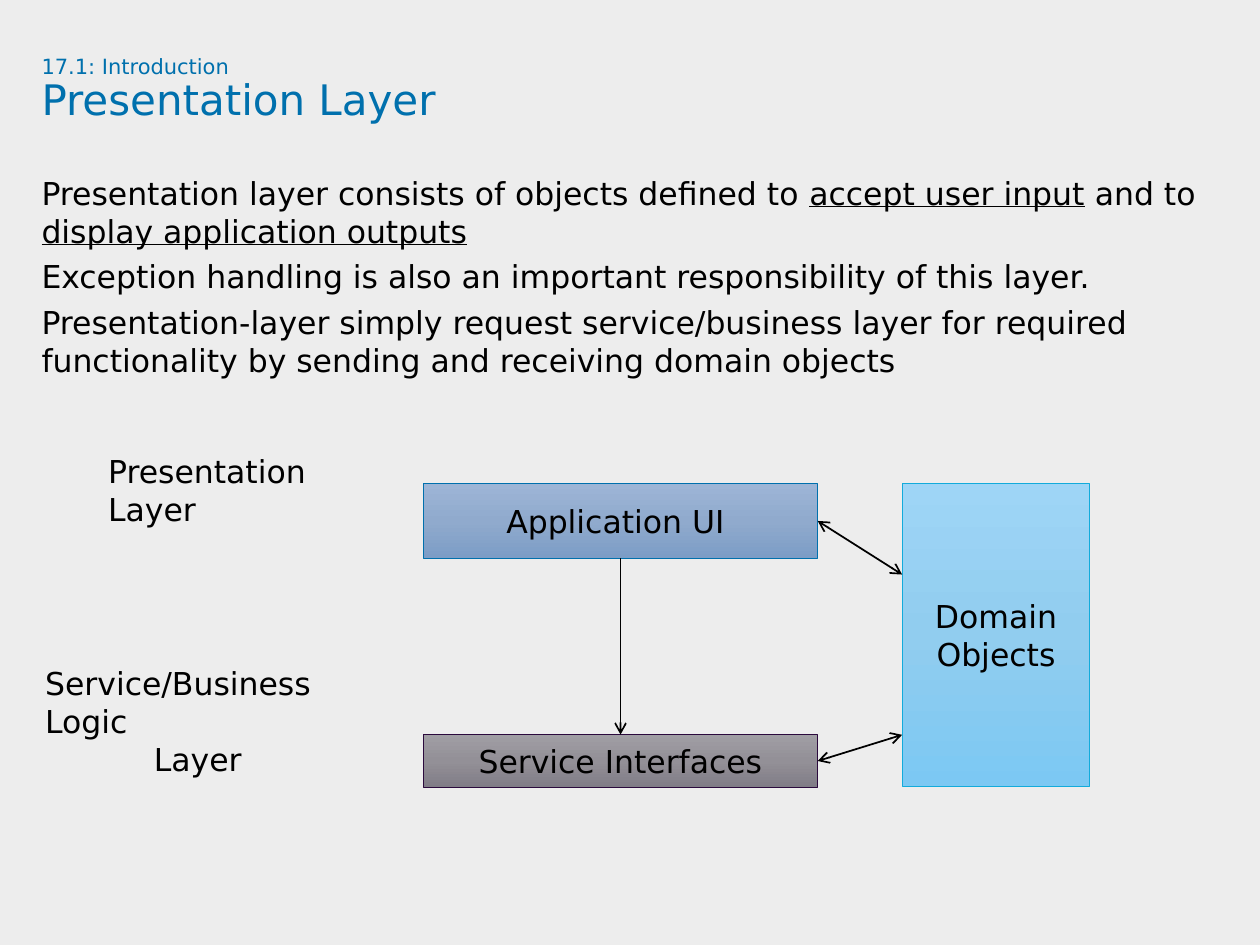
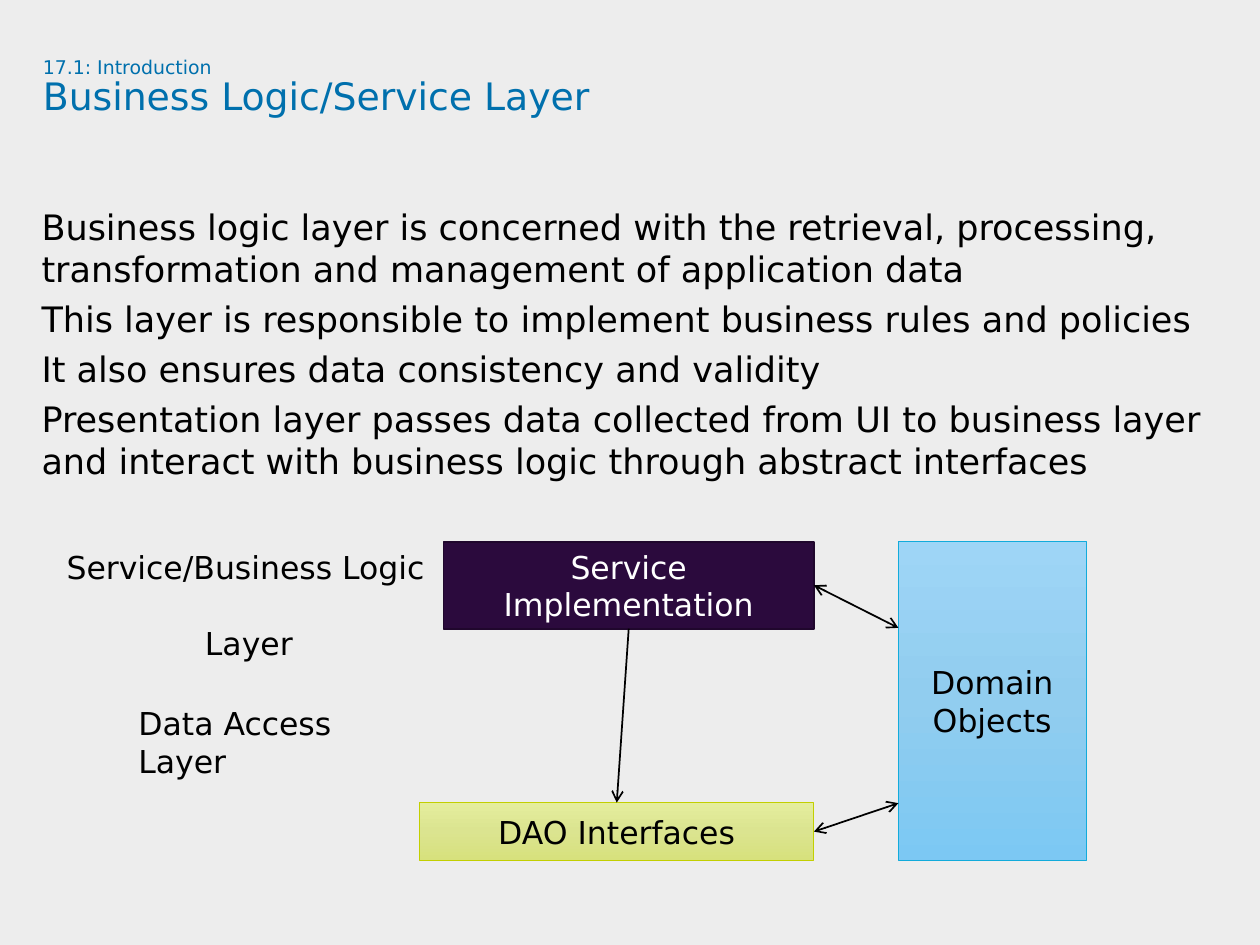
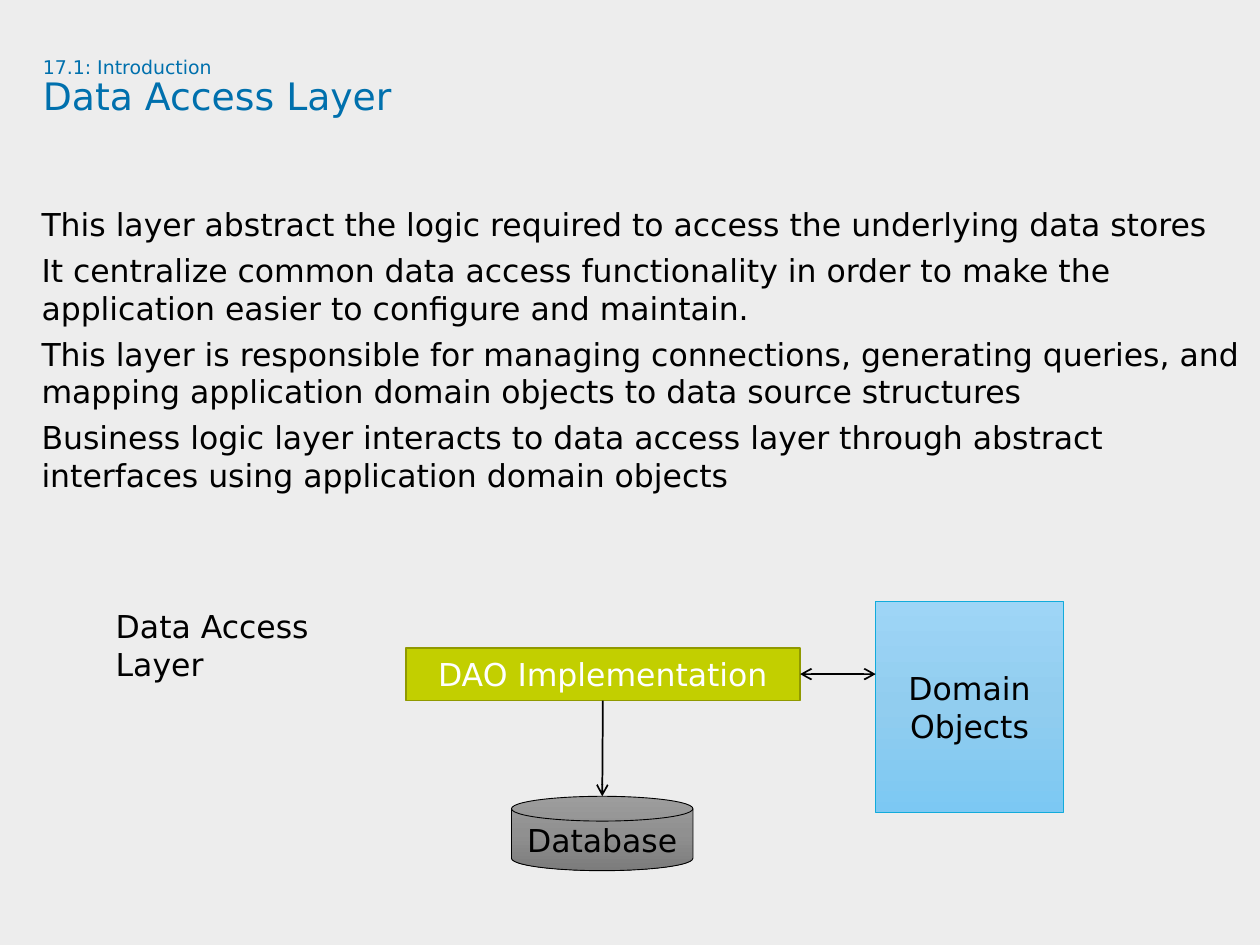
from copy import deepcopy
from dataclasses import dataclass

from lxml import etree
from pptx import Presentation
from pptx.dml.color import RGBColor
from pptx.enum import shapes, text
from pptx.oxml import ns
from pptx import util as u

# Grid: 100 columns by 75 rows on a 10 by 7.5 inch slide
COLUMNS, ROWS = 100, 75
WIDTH, HEIGHT = u.Inches(10), u.Inches(7.5)

FONT = "DejaVu Sans"
BLACK = RGBColor(0x00, 0x00, 0x00)
WHITE = RGBColor(0xFF, 0xFF, 0xFF)
PAPER = RGBColor(0xED, 0xED, 0xED)
BLUE = RGBColor(0x00, 0x70, 0xAD)
SKY = RGBColor(0x12, 0xAB, 0xDB)
PLUM = RGBColor(0x2B, 0x0A, 0x3D)
DARK_PLUM = RGBColor(0x20, 0x07, 0x2D)
LIME = RGBColor(0xC2, 0xCF, 0x00)
DARK_LIME = RGBColor(0x90, 0x99, 0x00)
BLUE_FADE = (RGBColor(0x9D, 0xB5, 0xD6), RGBColor(0x90, 0xAA, 0xCD), RGBColor(0x7C, 0x9D, 0xC6))
PLUM_FADE = (RGBColor(0xA0, 0x9E, 0xA4), RGBColor(0x93, 0x90, 0x97), RGBColor(0x80, 0x7C, 0x86))
SKY_FADE = (RGBColor(0x9E, 0xD5, 0xF6), RGBColor(0x91, 0xCD, 0xEF), RGBColor(0x7C, 0xC8, 0xF3))
LIME_FADE = (RGBColor(0xE4, 0xED, 0x9D), RGBColor(0xDB, 0xE4, 0x90), RGBColor(0xD7, 0xE1, 0x7C))
GREY_FADE = (RGBColor(0x9D, 0x9D, 0x9D), RGBColor(0x90, 0x90, 0x90), RGBColor(0x7C, 0x7C, 0x7C))

# Block looks: fill colours, line colour, line width, text colour
STYLES = {
    "ui": (BLUE_FADE, BLUE, 0.5, BLACK),
    "service interface": (PLUM_FADE, PLUM, 0.5, BLACK),
    "service": ((PLUM,), DARK_PLUM, 1, WHITE),
    "dao interface": (LIME_FADE, LIME, 0.5, BLACK),
    "dao": ((LIME,), DARK_LIME, 1, WHITE),
    "domain": (SKY_FADE, SKY, 0.5, BLACK),
    "database": (GREY_FADE, BLACK, 0.5, BLACK),
}


@dataclass
class Box:
    """A region in grid columns and rows."""
    left: float
    top: float
    width: float
    height: float

    def inner(self, left, top, width, height):
        return Box(self.left + left, self.top + top, width, height)

    def point(self, across, down):
        """Grid point at the given shares of the box."""
        return self.left + self.width * across, self.top + self.height * down

    def emu(self):
        return (*to_emu(self.left, self.top), *to_emu(self.width, self.height))


def to_emu(column, row):
    return round(column * WIDTH / COLUMNS), round(row * HEIGHT / ROWS)


def apply(target, values):
    for name, value in values.items():
        setattr(target, name, value)


def style_font(font, size, color):
    apply(font, {"name": FONT, "size": u.Pt(size)})
    font.color.rgb = color


def add_text(slide, box, margin=None):
    frame = slide.shapes.add_textbox(*box.emu()).text_frame
    frame.word_wrap = True
    if margin is not None:
        sides = ("left", "top", "right", "bottom")
        apply(frame, {f"margin_{side}": margin for side in sides})
    return frame


def write_lines(frame, lines, color=BLACK, **formats):
    for index, line in enumerate(lines):
        paragraph = frame.paragraphs[0] if index == 0 else frame.add_paragraph()
        apply(paragraph, formats)
        run = paragraph.add_run()
        run.text = line
        style_font(run.font, 18, color)


# Title: small section line above the large heading
def add_title(slide, box, heading, size):
    paragraph = add_text(slide, box, margin=0).paragraphs[0]
    paragraph.line_spacing = 0.9
    paragraph.text = f"17.1: Introduction\v{heading}"
    for run, run_size in zip(paragraph.runs, (size / 2, size)):
        style_font(run.font, run_size, BLUE)
    line_break = paragraph._p.find(ns.qn("a:br"))
    line_break.append(deepcopy(paragraph.runs[0]._r.rPr))


# Body: underscores enclose underlined words
def add_body(slide, box, lines, size):
    frame = add_text(slide, box, margin=0)
    for index, line in enumerate(lines):
        paragraph = frame.paragraphs[0] if index == 0 else frame.add_paragraph()
        paragraph.space_after = u.Pt(4.5)
        for position, words in enumerate(line.split("_")):
            if words:
                run = paragraph.add_run()
                run.text = words
                style_font(run.font, size, BLACK)
                run.font.underline = position % 2 == 1


def fill_shape(fill, colors):
    if len(colors) == 1:
        fill.solid()
        fill.fore_color.rgb = colors[0]
        return
    fill.gradient()
    fill.gradient_angle = 270
    first = fill.gradient_stops[0]._gs
    first.addnext(deepcopy(first))
    for index, (stop, color) in enumerate(zip(fill.gradient_stops, colors)):
        stop.position = index / (len(colors) - 1)
        stop.color.rgb = color


def add_block(slide, box, lines, style, kind=shapes.MSO_SHAPE.RECTANGLE):
    colors, line_color, line_width, text_color = STYLES[style]
    shape = slide.shapes.add_shape(kind, *box.emu())
    shape.shadow.inherit = False
    fill_shape(shape.fill, colors)
    shape.line.color.rgb = line_color
    shape.line.width = u.Pt(line_width)
    apply(shape.text_frame, {"word_wrap": True, "vertical_anchor": text.MSO_ANCHOR.MIDDLE})
    write_lines(shape.text_frame, lines, text_color, alignment=text.PP_ALIGN.CENTER)


def add_arrow(slide, start, end, both=False):
    connector = slide.shapes.add_connector(
        shapes.MSO_CONNECTOR.STRAIGHT, *to_emu(*start), *to_emu(*end))
    connector.line.color.rgb = BLACK
    connector.line.width = u.Pt(1)
    properties = connector._element.spPr
    line = properties.find(ns.qn("a:ln"))
    for end_name in ("headEnd", "tailEnd") if both else ("tailEnd",):
        etree.SubElement(line, ns.qn(f"a:{end_name}"), type="arrow")
    etree.SubElement(properties, ns.qn("a:effectLst"))


# Diagram: two stacked blocks, the domain objects beside them, and arrows
def add_diagram(slide, area, upper, lower, domain, links):
    """links holds (block index, share of the domain block's height)."""
    boxes = []
    for place, *look in (upper, lower):
        boxes.append(area.inner(*place))
        add_block(slide, boxes[-1], *look)
    domain_box = area.inner(*domain)
    add_block(slide, domain_box, ["Domain", "Objects"], "domain")
    add_arrow(slide, boxes[0].point(0.5, 1), boxes[1].point(0.5, 0))
    for index, share in links:
        add_arrow(slide, boxes[index].point(1, 0.5), domain_box.point(0, share), both=True)


def add_label(slide, box, lines, gap=0, shift=0):
    """Label whose second line is centred, spaced by gap and hung by shift."""
    frame = add_text(slide, box)
    write_lines(frame, lines)
    for paragraph in frame.paragraphs[1:]:
        apply(paragraph, {"alignment": text.PP_ALIGN.CENTER, "space_before": u.Pt(gap)})
        if shift:
            paragraph._p.get_or_add_pPr().set("indent", str(-u.Inches(shift)))


def start_slide(presentation, title_box, heading, title_size, body_box, lines, body_size):
    slide = presentation.slides.add_slide(presentation.slide_layouts[6])
    slide.background.fill.solid()
    slide.background.fill.fore_color.rgb = PAPER
    add_title(slide, title_box, heading, title_size)
    add_body(slide, body_box, lines, body_size)
    return slide


def presentation_layer(presentation):
    slide = start_slide(
        presentation, Box(3.3, 4.5, 93.3, 7.6), "Presentation Layer", 24,
        Box(3.3, 13.8, 96.7, 53.4), [
            "Presentation layer consists of objects defined to _accept user input_"
            " and to _display application outputs_",
            "Exception handling is also an important responsibility of this layer.",
            "Presentation-layer simply request service/business layer for required "
            "functionality by sending and receiving domain objects",
        ], 18)
    area = Box(0, 35.4, 100, 28)
    add_label(slide, area.inner(7.6, 0, 21.1, 4), ["Presentation Layer"])
    add_label(slide, area.inner(2.6, 16.8, 26.2, 7.1),
              ["Service/Business Logic", "Layer"], shift=0.32)
    add_diagram(slide, area,
                ((33.6, 3, 31.3, 5.9), ["Application UI "], "ui"),
                ((33.6, 22.9, 31.3, 4.2), ["Service Interfaces"], "service interface"),
                (71.6, 3, 14.9, 24), [(0, 0.3), (1, 0.83)])


def service_layer(presentation):
    slide = start_slide(
        presentation, Box(3.4, 4.6, 90.9, 4.5), "Business Logic/Service Layer", 21.6,
        Box(3.3, 16.3, 96.7, 53), [
            "Business logic layer is concerned with the retrieval, processing, "
            "transformation and management of application data",
            "This layer is responsible to implement business rules and policies",
            "It also ensures data consistency and validity",
            "Presentation layer passes data collected from UI to business layer "
            "and interact with business logic through abstract interfaces",
        ], 20)
    area = Box(0, 43, 100, 26)
    add_label(slide, area.inner(4.3, 0, 30.9, 7.1),
              ["Service/Business Logic", "Layer"], gap=21.6)
    add_label(slide, area.inner(10, 12.4, 20.2, 4), ["Data Access Layer"])
    add_diagram(slide, area,
                ((35.2, 0, 29.4, 6.9), ["Service Implementation"], "service"),
                ((33.3, 20.7, 31.3, 4.6), ["DAO Interfaces"], "dao interface"),
                (71.3, 0, 14.9, 25.3), [(0, 0.27), (1, 0.82)])


def data_access_layer(presentation):
    slide = start_slide(
        presentation, Box(3.4, 4.6, 90.9, 4.5), "Data Access Layer", 21.6,
        Box(3.3, 16.3, 96.7, 50.8), [
            "This layer abstract the logic required to access the underlying data stores",
            "It centralize common data access functionality in order to make the "
            "application easier to configure and maintain.",
            "This layer is responsible for managing connections, generating queries, "
            "and mapping application domain objects to data source structures",
            "Business logic layer interacts to data access layer through abstract "
            "interfaces using application domain objects",
        ], 18)
    area = Box(0, 47.7, 100, 22)
    add_label(slide, area.inner(8.2, 0, 22.2, 7.1), ["Data Access Layer"])
    add_diagram(slide, area,
                ((32.2, 3.7, 31.3, 4.2), ["DAO Implementation"], "dao"),
                ((40.6, 15.5, 14.4, 5.9), ["Database"], "database",
                 shapes.MSO_SHAPE.FLOWCHART_MAGNETIC_DISK),
                (69.5, 0, 14.9, 16.8), [(0, 5.8 / 16.8)])


def main():
    presentation = Presentation()
    apply(presentation, {"slide_width": WIDTH, "slide_height": HEIGHT})
    for build in (presentation_layer, service_layer, data_access_layer):
        build(presentation)
    presentation.save("out.pptx")


if __name__ == "__main__":
    main()
